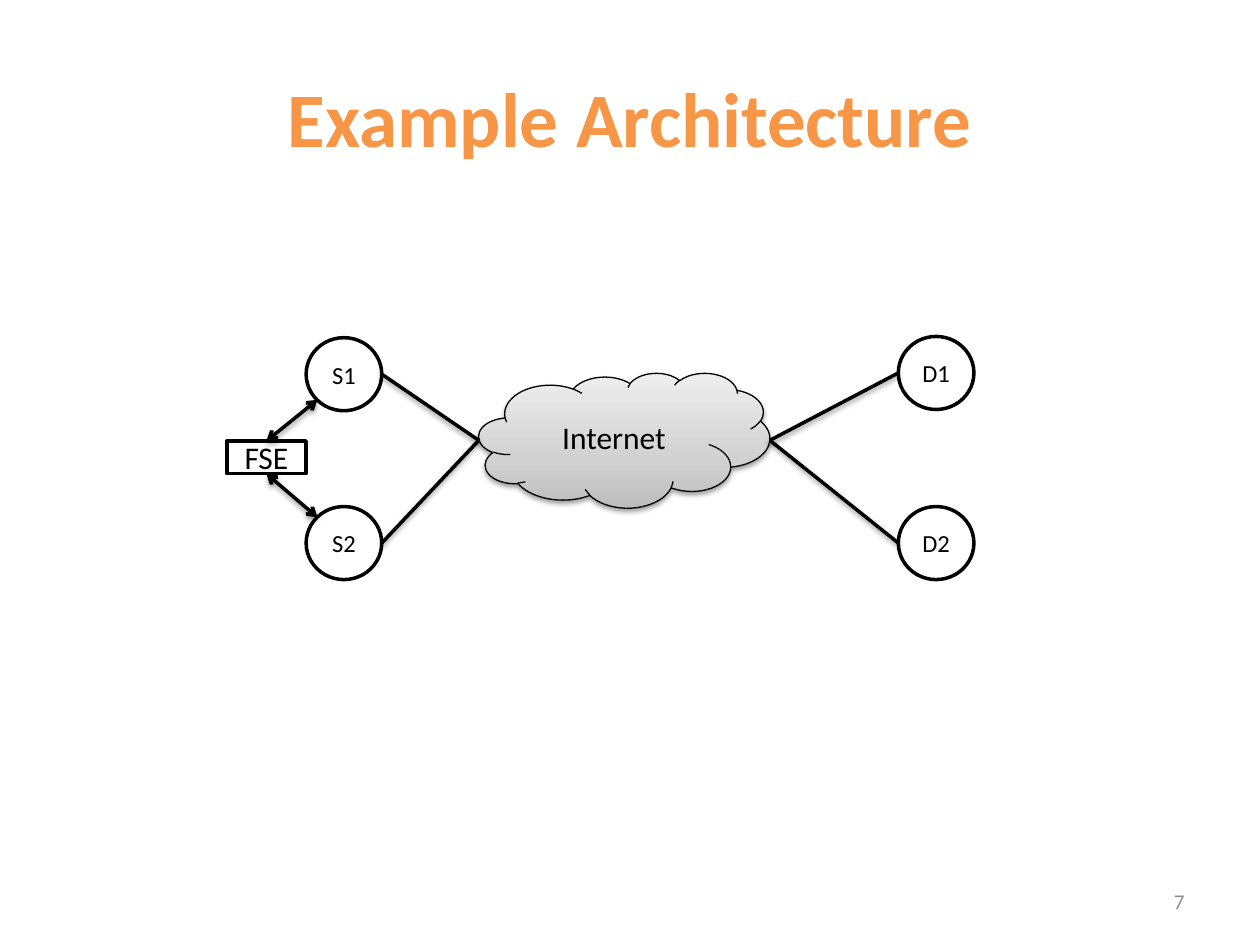
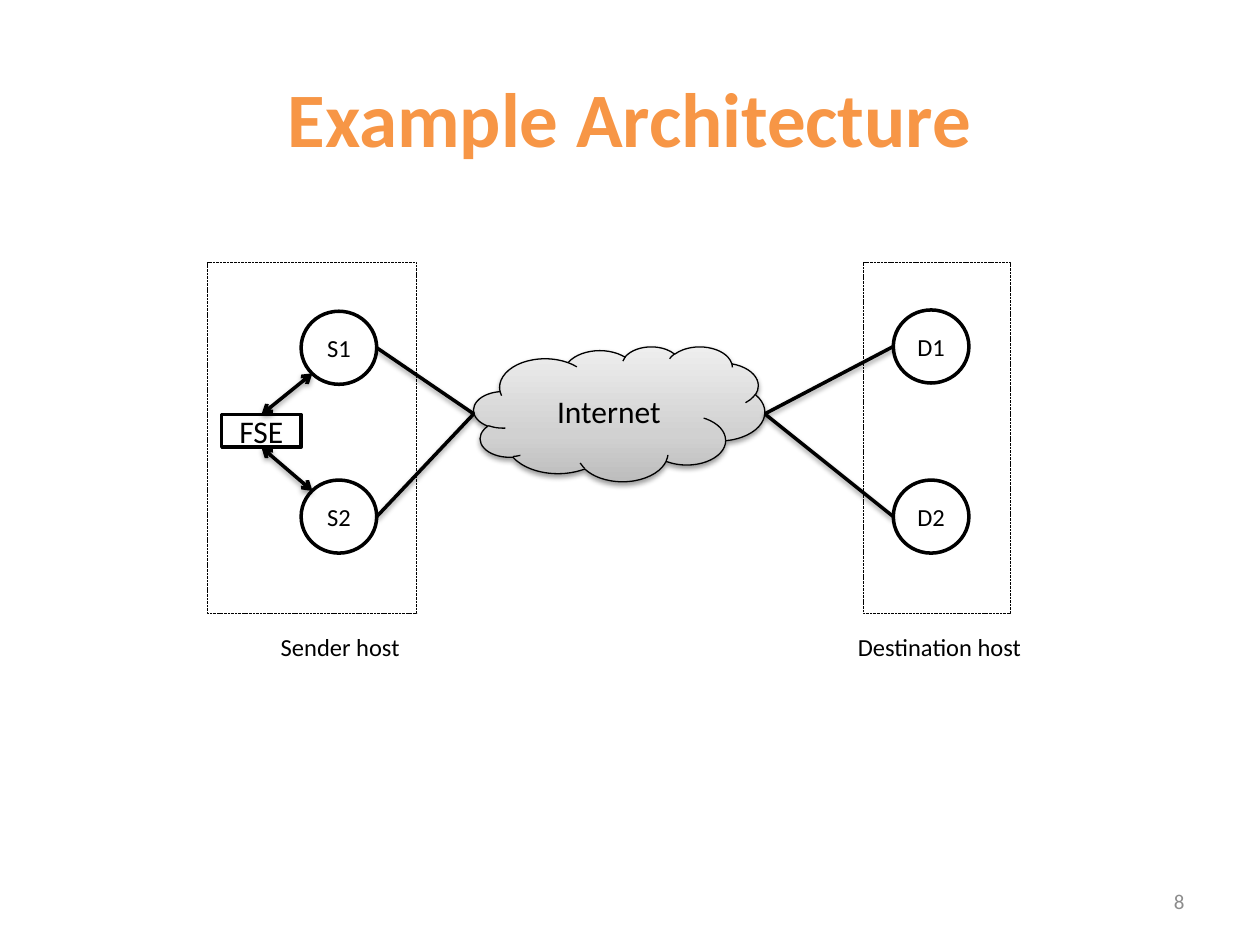
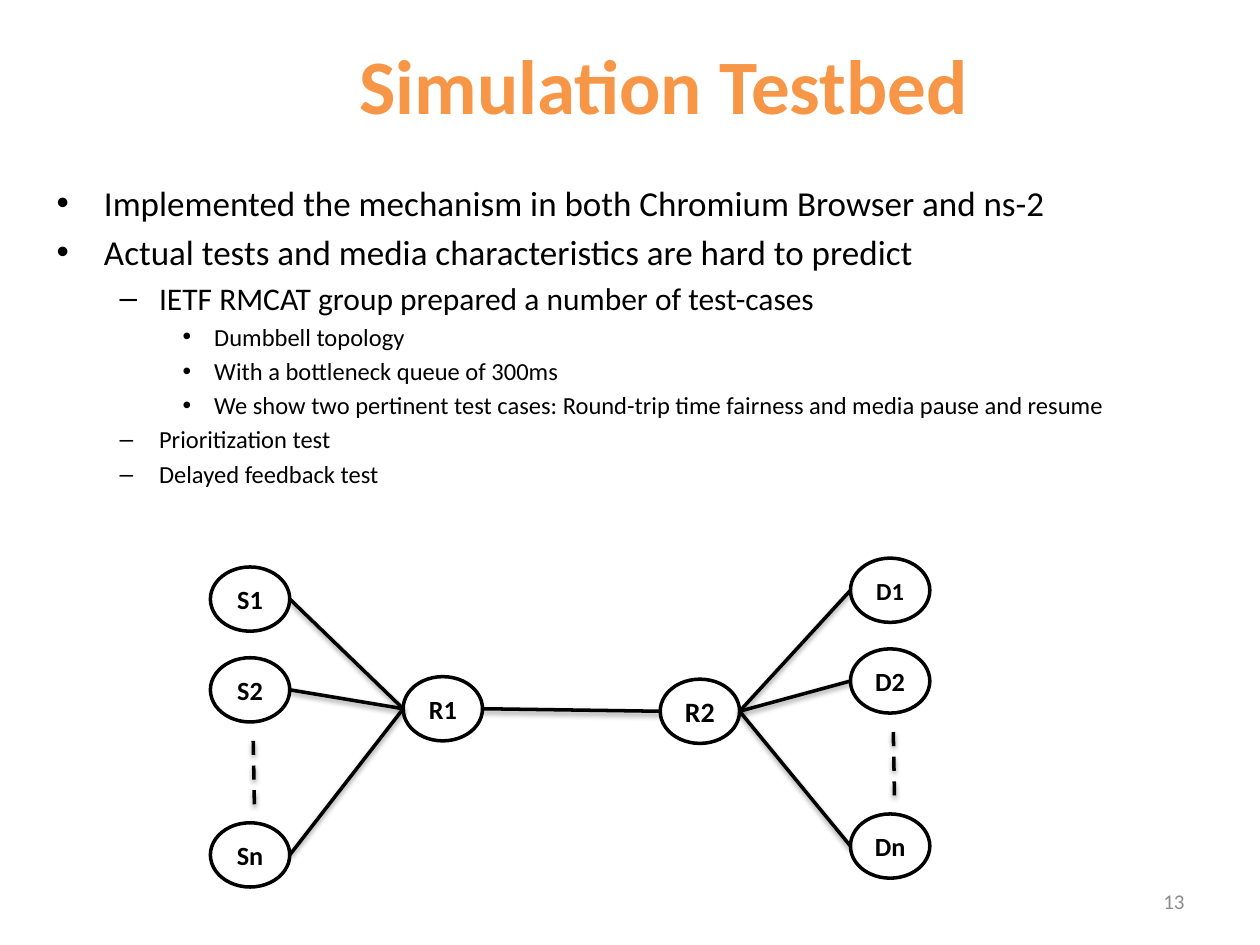
"""Build three slides on a network architecture and its simulation testbed."""
from lxml import etree
from pptx import Presentation
from pptx.dml.color import RGBColor
from pptx.enum import dml, shapes, text
from pptx.oxml.ns import qn
from pptx.util import Inches, Pt

COLORS = {"title": "F79646", "ink": "000000", "paper": "FFFFFF", "number": "8C8C8C"}
CLOUD_STOPS = {0: "BDBDBD", 35: "D1D1D1", 100: "EEEEEE"}
TITLE_SIZE = 44
ELLIPSE, RECT, CLOUD = (shapes.MSO_SHAPE.OVAL, shapes.MSO_SHAPE.RECTANGLE,
                        shapes.MSO_SHAPE.CLOUD)
LEFT, RIGHT, TOP, BOTTOM = (0, 0.5), (1, 0.5), (0.5, 0), (0.5, 1)
LOWER_LEFT, UPPER_LEFT = (0.15, 0.85), (0.15, 0.15)
BULLETS = [
    (0, 20, "Implemented the mechanism in both Chromium Browser and ns-2"),
    (0, 20, "Actual tests and media characteristics are hard to predict"),
    (1, 18, "IETF RMCAT group prepared a number of test-cases"),
    (2, 14, "Dumbbell topology"),
    (2, 14, "With a bottleneck queue of 300ms"),
    (2, 14, "We show two pertinent test cases: Round-trip time fairness and media pause and resume"),
    (1, 14, "Prioritization test"),
    (1, 14, "Delayed feedback test"),
]


def rgb(name):
    """Return the named colour."""
    return RGBColor.from_string(COLORS[name])


def set_attrs(obj, values):
    """Set each attribute given in a dict."""
    for key, value in values.items():
        setattr(obj, key, value)


def sub(parent, tag, **attrs):
    """Append a drawing element with the given attributes."""
    return etree.SubElement(parent, qn("a:" + tag), {k: str(v) for k, v in attrs.items()})


def place(sp, x, y, w, h):
    """Move and size a shape in inches."""
    set_attrs(sp, dict(left=Inches(x), top=Inches(y), width=Inches(w), height=Inches(h)))


def write(p, words, size, color="ink", bold=False, align=None):
    """Write one formatted run into a paragraph."""
    r = p.add_run()
    r.text = words
    p.alignment = align
    set_attrs(r.font, dict(name="Calibri", size=Pt(size), bold=bold))
    r.font.color.rgb = rgb(color)


def add_shadow(sp):
    """Give a shape or connector a soft shadow below it."""
    spPr = sp.element.spPr
    effects = spPr.find(qn("a:effectLst"))
    if effects is None:
        effects = sub(spPr, "effectLst")
    shadow = sub(effects, "outerShdw", blurRad=Pt(3.1), dist=Pt(1.6), dir=5400000, rotWithShape=0)
    sub(sub(shadow, "srgbClr", val=COLORS["ink"]), "alpha", val=38000)


def style_line(line, width, dash=None):
    """Draw a line in ink."""
    line.color.rgb = rgb("ink")
    line.width = Pt(width)
    if dash:
        line.dash_style = dash


def add_box(s, kind, x, y, w, h, words="", size=14, bold=False, width=2, dash=None):
    """Add an outlined preset shape with centred text."""
    sp = s.shapes.add_shape(kind, Inches(x), Inches(y), Inches(w), Inches(h))
    sp.shadow.inherit = False
    sp.fill.solid()
    sp.fill.fore_color.rgb = rgb("paper")
    style_line(sp.line, width, dash)
    tf = sp.text_frame
    set_attrs(tf, dict(margin_left=0, margin_right=0, margin_top=0, margin_bottom=0,
                       vertical_anchor=text.MSO_ANCHOR.MIDDLE))
    if words:
        write(tf.paragraphs[0], words, size, bold=bold, align=text.PP_ALIGN.CENTER)
    return sp


def add_cloud(s, x, y, words):
    """Add the shaded network cloud."""
    sp = add_box(s, CLOUD, x, y, 2.31, 1.07, words, 18, width=0.75)
    sp.fill.gradient()
    sp.fill.gradient_angle = 90
    stops = sp.element.spPr.find(qn("a:gradFill")).find(qn("a:gsLst"))
    for stop in list(stops):
        stops.remove(stop)
    for pos, color in CLOUD_STOPS.items():
        sub(sub(stops, "gs", pos=pos * 1000), "srgbClr", val=color)
    add_shadow(sp)
    return sp


def add_line(s, start, end, dash=None, arrows=False):
    """Add a shadowed line between two points."""
    cn = s.shapes.add_connector(shapes.MSO_CONNECTOR.STRAIGHT, *start, *end)
    style_line(cn.line, 2, dash)
    if arrows:
        ln = cn.element.spPr.find(qn("a:ln"))
        for tag in ("headEnd", "tailEnd"):
            sub(ln, tag, type="arrow")
    add_shadow(cn)


def point(sp, site):
    """Return the point at a fractional place on a shape."""
    return int(sp.left + sp.width * site[0]), int(sp.top + sp.height * site[1])


def link(s, a, site_a, b, site_b, arrows=False):
    """Join two shapes at the given sites."""
    add_line(s, point(a, site_a), point(b, site_b), arrows=arrows)


def add_text(s, x, y, w, h, words, size, color="ink", align=None, anchor=text.MSO_ANCHOR.TOP):
    """Add a wrapped text box."""
    tf = s.shapes.add_textbox(Inches(x), Inches(y), Inches(w), Inches(h)).text_frame
    set_attrs(tf, dict(word_wrap=True, vertical_anchor=anchor))
    write(tf.paragraphs[0], words, size, color, align=align)


def add_slide(prs, layout, title, number, x=0.5, y=0.3):
    """Add a slide with its title and page number."""
    s = prs.slides.add_slide(prs.slide_layouts[layout])
    place(s.shapes.title, x, y, 9, 1.25)
    write(s.shapes.title.text_frame.paragraphs[0], title, TITLE_SIZE, "title", True,
          text.PP_ALIGN.CENTER)
    add_text(s, 7.17, 6.95, 2.33, 0.4, str(number), 12, "number", text.PP_ALIGN.RIGHT,
             text.MSO_ANCHOR.MIDDLE)
    return s


def add_architecture(s, x, y):
    """Draw senders, cloud, destinations and FSE from the FSE's left and cloud's top."""
    cloud = add_cloud(s, x + 2, y, "Internet")
    s1, s2, d1, d2 = [add_box(s, ELLIPSE, x + dx, y + dy, 0.6, 0.58, words)
                      for words, dx, dy in (("S1", 0.63, -0.28), ("S2", 0.63, 1.06),
                                            ("D1", 5.33, -0.29), ("D2", 5.33, 1.06))]
    for sender in (s1, s2):
        link(s, sender, RIGHT, cloud, LEFT)
    for dest in (d1, d2):
        link(s, dest, LEFT, cloud, RIGHT)
    fse = add_box(s, RECT, x, y + 0.54, 0.63, 0.26, "FSE", 18)
    link(s, fse, TOP, s1, LOWER_LEFT, arrows=True)
    link(s, fse, BOTTOM, s2, UPPER_LEFT, arrows=True)


def add_hosts(s):
    """Frame and label the sender and destination hosts."""
    for x, w, label_x, label in ((6.85, 1.17, 6.71, "Destination host"),
                                 (1.65, 1.66, 2.13, "Sender host")):
        add_box(s, RECT, x, 2.08, w, 2.79, width=0.5, dash=dml.MSO_LINE.SQUARE_DOT)
        add_text(s, label_x, 4.97, 2.23, 0.34, label, 14)


def add_bullets(s):
    """Fill the body placeholder with the bullet list."""
    body = s.placeholders[1]
    place(body, 0.35, 1.39, 9, 4.95)
    tf = body.text_frame
    for i, (level, size, words) in enumerate(BULLETS):
        p = tf.add_paragraph() if i else tf.paragraphs[0]
        p.level = level
        write(p, words, size)
    tf.paragraphs[0].space_before = Pt(0)


def add_node(s, x, y, words, size=15):
    """Add a testbed node."""
    return add_box(s, ELLIPSE, x, y, 0.63, 0.51, words, size, True)


def add_column(s, x, y, nodes):
    """Add a column of end nodes with a dashed gap before the last."""
    column = [add_node(s, x, y + dy, words, size)
              for dy, (words, size) in zip((0, 0.72, 2.03), nodes)]
    add_line(s, (Inches(x + 0.34), Inches(y + 1.38)), (Inches(x + 0.35), Inches(y + 1.93)),
             dml.MSO_LINE.DASH)
    return column


def add_dumbbell(s):
    """Draw the dumbbell topology."""
    senders = add_column(s, 1.67, 4.5, (("S1", 15), ("S2", 15), ("Sn", 15)))
    dests = add_column(s, 6.75, 4.43, (("D1", 14), ("D2", 15), ("Dn", 15)))
    r1 = add_node(s, 3.2, 5.37, "R1")
    r2 = add_node(s, 5.24, 5.39, "R2", 16)
    for sender in senders:
        link(s, sender, RIGHT, r1, LEFT)
    link(s, r1, RIGHT, r2, LEFT)
    for dest in dests:
        link(s, dest, LEFT, r2, RIGHT)


def main():
    """Build and save the slides."""
    prs = Presentation()
    set_attrs(prs, dict(slide_width=Inches(10), slide_height=Inches(7.5)))
    add_architecture(add_slide(prs, 5, "Example Architecture", 7), 1.8, 2.96)
    s = add_slide(prs, 5, "Example Architecture", 8)
    add_hosts(s)
    add_architecture(s, 1.76, 2.75)
    s = add_slide(prs, 1, "Simulation Testbed", 13, 0.77, 0.04)
    add_bullets(s)
    add_dumbbell(s)
    prs.save("out.pptx")


if __name__ == "__main__":
    main()
